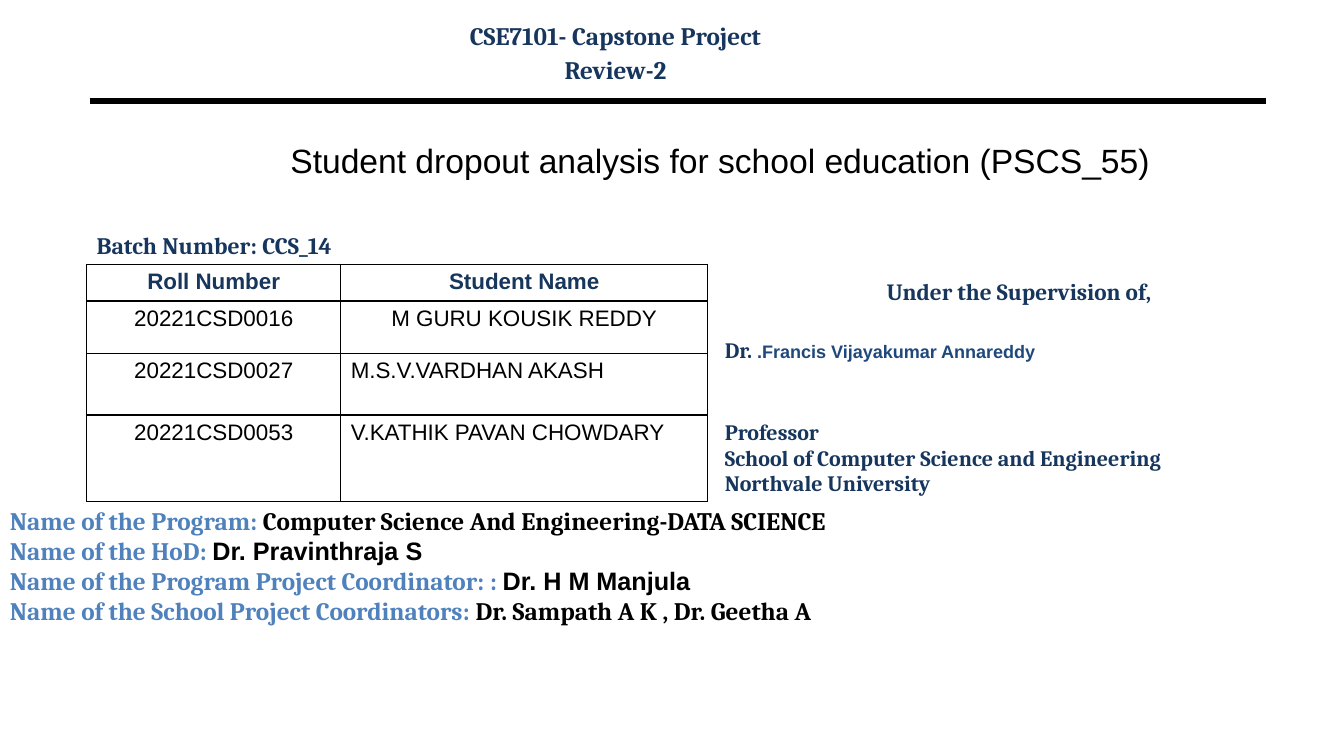
from lxml import etree
from pptx import Presentation
from pptx.dml.color import RGBColor
from pptx.enum.shapes import MSO_CONNECTOR
from pptx.enum.text import MSO_ANCHOR, PP_ALIGN
from pptx.oxml.ns import qn
from pptx.util import Inches, Pt

LEFT, CENTER = PP_ALIGN.LEFT, PP_ALIGN.CENTER
MIDDLE = MSO_ANCHOR.MIDDLE
STRAIGHT = MSO_CONNECTOR.STRAIGHT

COLORS = {"navy": "17365D", "blue": "1F497D", "label": "4F81BD", "black": "000000"}
SERIF, SANS = "Cambria", "Arial"

STUDENTS = [
    ("20221CSD0016", "M GURU KOUSIK REDDY", CENTER),
    ("20221CSD0027", "M.S.V.VARDHAN AKASH", LEFT),
    ("20221CSD0053", "V.KATHIK PAVAN CHOWDARY", LEFT),
]
PROGRAM_DETAILS = [
    ("Name of the Program: ", "Computer Science And Engineering-DATA SCIENCE", SERIF),
    ("Name of the HoD: ", "Dr. Pravinthraja S", SANS),
    ("Name of the Program Project Coordinator: : ", "Dr. H M Manjula", SANS),
    ("Name of the School Project Coordinators: ", "Dr. Sampath A K , Dr. Geetha A", SERIF),
]


def set_font(font, size, name=SERIF, color="navy", bold=True):
    font.size, font.name, font.bold = Pt(size), name, bold
    font.color.rgb = RGBColor.from_string(COLORS[color])


def add_text_frame(slide, left, top, width, height):
    box = slide.shapes.add_textbox(Inches(left), Inches(top), Inches(width), Inches(height))
    box.text_frame.word_wrap = True
    return box.text_frame


def next_paragraph(frame, align=LEFT, before=0, spacing=1.0):
    """Return the frame's unused first paragraph, or a new one."""
    first = frame.paragraphs[0]
    paragraph = frame.add_paragraph() if first.runs else first
    paragraph.alignment = align
    paragraph.space_before = Pt(before)
    paragraph.line_spacing = spacing
    return paragraph


def add_run(paragraph, text, *style):
    run = paragraph.add_run()
    run.text = text
    set_font(run.font, *style)


def add_course_header(slide, left, top, width, height):
    frame = add_text_frame(slide, left, top, width, height)
    for line, before in (("CSE7101- Capstone Project", 0), ("Review-2", 3.1)):
        paragraph = next_paragraph(frame, CENTER, before)
        paragraph.add_run().text = line
        set_font(paragraph.font, 18)


def add_header_rule(slide, left, top, width):
    y = Inches(top)
    rule = slide.shapes.add_connector(STRAIGHT, Inches(left), y, Inches(left + width), y)
    rule.line.width = Pt(4.5)
    rule.line.color.rgb = RGBColor.from_string(COLORS["black"])
    etree.SubElement(rule._element.spPr, qn("a:effectLst"))


def place_project_title(slide, left, top, width, height):
    title = slide.shapes.title
    title.left, title.top = Inches(left), Inches(top)
    title.width, title.height = Inches(width), Inches(height)
    frame = title.text_frame
    frame.text = "Student dropout analysis for school education (PSCS_55)"
    frame.vertical_anchor = MIDDLE
    frame.paragraphs[0].alignment = LEFT
    set_font(frame.paragraphs[0].font, 24, SANS, "black", False)


def add_batch_number(slide, left, top, width, height):
    paragraph = next_paragraph(add_text_frame(slide, left, top, width, height))
    paragraph.add_run().text = "Batch Number: CCS_14"
    set_font(paragraph.font, 16.9)


def style_cell(cell):
    """Draw thin black borders and clear the fill."""
    properties = cell._tc.get_or_add_tcPr()
    for side in ("lnL", "lnR", "lnT", "lnB"):
        border = etree.SubElement(properties, qn(f"a:{side}"), w=str(Pt(0.96)))
        fill = etree.SubElement(border, qn("a:solidFill"))
        etree.SubElement(fill, qn("a:srgbClr"), val=COLORS["black"])
    cell.fill.background()


def add_student_table(slide, left, top, column_widths, row_heights):
    table = slide.shapes.add_table(
        len(row_heights), len(column_widths), Inches(left), Inches(top),
        Inches(sum(column_widths)), Inches(sum(row_heights))).table
    table.first_row = table.horz_banding = False
    for column, width in zip(table.columns, column_widths):
        column.width = Inches(width)
    for row, height in zip(table.rows, row_heights):
        row.height = Inches(height)

    records = [("Roll Number", "Student Name", CENTER)] + STUDENTS
    for row_index, (roll_number, name, name_align) in enumerate(records):
        is_header = row_index == 0
        for column_index, (text, align) in enumerate(((roll_number, CENTER), (name, name_align))):
            cell = table.cell(row_index, column_index)
            cell.text = text
            paragraph = cell.text_frame.paragraphs[0]
            paragraph.alignment = align
            set_font(paragraph.font, 16, SANS, "navy" if is_header else "black", is_header)
            style_cell(cell)


def add_supervisor(slide, left, top, width, height):
    frame = add_text_frame(slide, left, top, width, height)
    heading = next_paragraph(frame, CENTER, spacing=0.8)
    heading.add_run().text = "Under the Supervision of,"
    set_font(heading.font, 16.6)

    supervisor = next_paragraph(frame, before=23)
    add_run(supervisor, "Dr.", 15.7)
    add_run(supervisor, " .Francis Vijayakumar Annareddy", 12.9, SANS, "blue")

    for line, before in (("Professor", 43),
                         ("School of Computer Science and Engineering", 3.4),
                         ("Northvale University", 3.4)):
        paragraph = next_paragraph(frame, before=before, spacing=0.8)
        paragraph.add_run().text = line
        set_font(paragraph.font, 15.7)


def add_program_details(slide, left, top, width, height):
    frame = add_text_frame(slide, left, top, width, height)
    for label, value, value_font in PROGRAM_DETAILS:
        paragraph = next_paragraph(frame)
        add_run(paragraph, label, 18, SERIF, "label")
        add_run(paragraph, value, 18, value_font, "black")


def main():
    presentation = Presentation()
    presentation.slide_width, presentation.slide_height = Inches(13.33), Inches(7.5)
    title_only = presentation.slide_layouts.get_by_name("Title Only")
    slide = presentation.slides.add_slide(title_only)

    add_header_rule(slide, 0.89, 1, 11.67)
    add_batch_number(slide, 0.86, 2.24, 4.8, 0.39)
    add_supervisor(slide, 7.09, 2.75, 6.03, 2.21)
    add_student_table(slide, 0.86, 2.62, (2.52, 3.64), (0.35, 0.52, 0.61, 0.86))
    add_course_header(slide, 3.1, 0.15, 6.01, 0.8)
    add_program_details(slide, 0, 4.96, 13.33, 1.71)
    place_project_title(slide, 2.78, 1.34, 8.96, 0.5)
    presentation.save("out.pptx")


if __name__ == "__main__":
    main()
